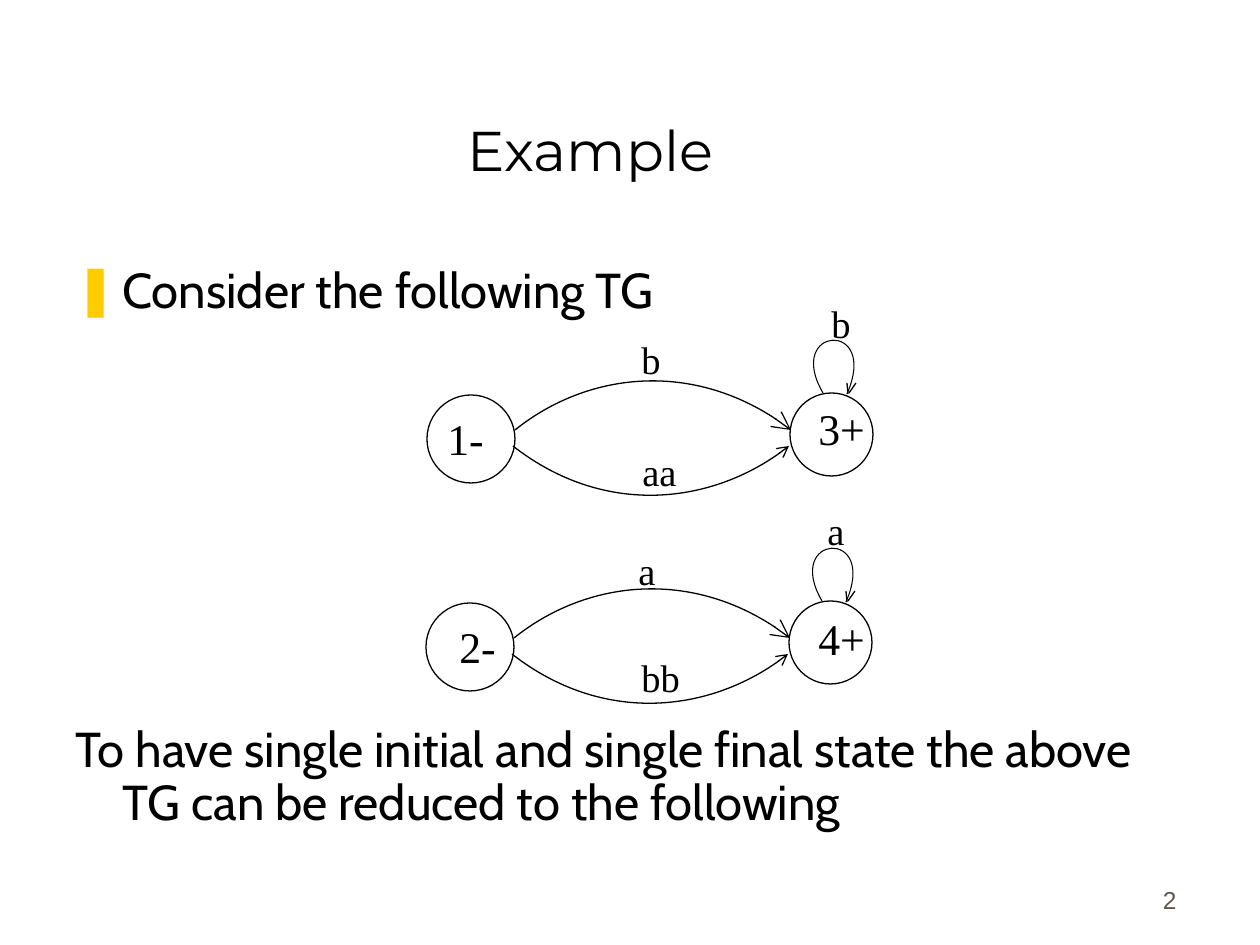
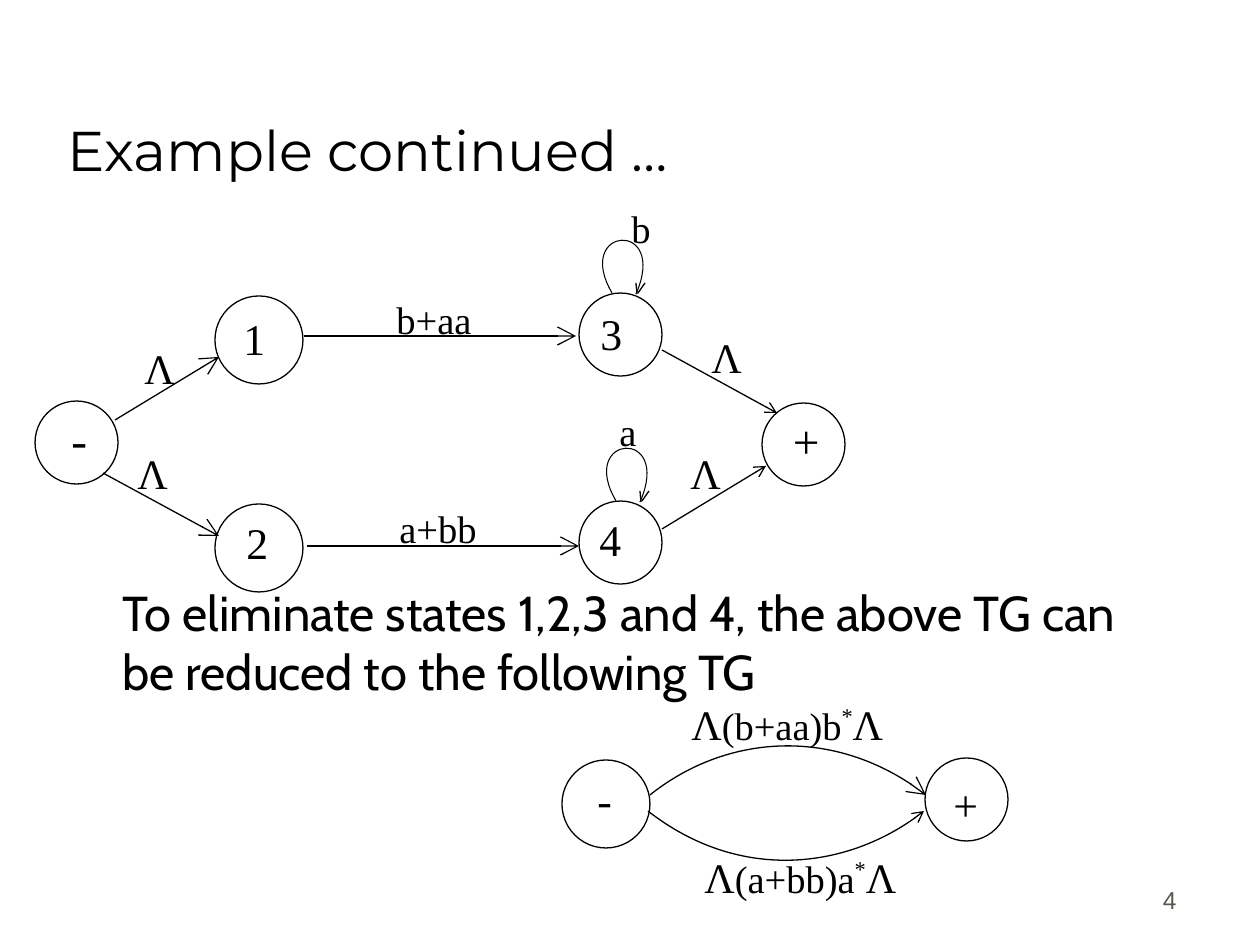
from dataclasses import dataclass

from lxml.etree import SubElement
from pptx import Presentation
from pptx.dml.color import RGBColor
from pptx.enum.shapes import MSO_CONNECTOR, MSO_SHAPE
from pptx.enum.text import MSO_ANCHOR, MSO_AUTO_SIZE, PP_ALIGN
from pptx.oxml.ns import qn
from pptx.util import Emu, Pt


@dataclass(frozen=True)
class Theme:
    """Colours, fonts and sizes shared by the slides."""
    ink: str = "000000"
    paper: str = "FFFFFF"
    accent: str = "FFCC00"
    muted: str = "5E574E"
    title_font: str = "Montserrat"
    body_font: str = "Cabin"
    graph_font: str = "Times New Roman"
    footer_font: str = "Arial"
    title_size: int = 32
    body_size: int = 28
    sign_size: int = 27
    state_size: int = 25
    empty_word_size: int = 24
    edge_size: int = 22
    footer_size: int = 14
    thin: float = 0.6
    line: float = 0.75


THEME = Theme()
EMU_PER_PX = 914400 / 126
SLIDE = (1260, 945)
TITLE_BOX = (55, 32, 1071, 157)
BODY_BOX = (63, 260, 1126, 575)
FOOTER_BOX = (927, 858, 262, 63)
HANGING = 47
LEFT_STATE, RIGHT_STATE = 88, 83
ARC = ((0, 0), (71, -57), (185, -71), (276, 0))
LOOP = ((0, 0), (-39, -67), (57, -74), (24, 1))
LOOP_BARBS = (((33, -10), (26, 0)), ((24, -10), (25, 1)))


def px(*lengths):
    """Turn pixel lengths into EMU."""
    return [Emu(round(length * EMU_PER_PX)) for length in lengths]


def write(para, text, font=THEME.graph_font, size=THEME.edge_size, color=THEME.ink, raised=0):
    """Add one formatted span to a paragraph."""
    span = para.add_run()
    span.text = text
    span.font.name = font
    span.font.size = Pt(size)
    span.font.color.rgb = RGBColor.from_string(color)
    if raised:
        span._r.get_or_add_rPr().set("baseline", str(raised * 1000))


def add_label(page, text, left, top, width=128, height=53, **style):
    """Place a graph label given as a string or as styled parts."""
    box = page.shapes.add_textbox(*px(left, top, width, height))
    box.text_frame.word_wrap = True
    parts = [(text, style)] if isinstance(text, str) else text
    for part, part_style in parts:
        write(box.text_frame.paragraphs[0], part, **part_style)
    return box


def set_line(shape, width=THEME.line, arrow=None, end="tailEnd"):
    """Draw a black outline with an optional open arrowhead."""
    shape.line.color.rgb = RGBColor.from_string(THEME.ink)
    shape.line.width = Pt(width)
    if arrow:
        outline = shape.line._get_or_add_ln()
        SubElement(outline, qn(f"a:{end}"), type="arrow", w=arrow, len=arrow)


def add_state(page, left, top, size):
    """Draw a state circle."""
    circle = page.shapes.add_shape(MSO_SHAPE.OVAL, *px(left, top, size, size))
    circle.shadow.inherit = False
    circle.fill.solid()
    circle.fill.fore_color.rgb = RGBColor.from_string(THEME.paper)
    set_line(circle)


def add_edge(page, start, finish, arrow=None):
    """Draw a straight edge."""
    edge = page.shapes.add_connector(MSO_CONNECTOR.STRAIGHT, *px(*start, *finish))
    set_line(edge, arrow=arrow)
    SubElement(edge._element.spPr, qn("a:effectLst"))


def add_curve(page, points, left, top, sign=1, **line):
    """Draw a cubic curve whose points are offsets from a start."""
    spots = [px(left + sign * x, top + sign * y) for x, y in points]
    builder = page.shapes.build_freeform(*spots[0])
    builder.add_line_segments(spots[1:], close=False)
    curve = builder.convert_to_shape()
    outline = next(curve._element.iter(qn("a:path")))
    steps = outline.findall(qn("a:lnTo"))
    cubic = SubElement(outline, qn("a:cubicBezTo"))
    for step in steps:
        cubic.append(step[0])
        outline.remove(step)
    curve.fill.background()
    curve.shadow.inherit = False
    set_line(curve, **line)


def add_loop(page, left, top):
    """Draw a self-loop with its arrow barbs."""
    add_curve(page, LOOP, left, top, width=THEME.thin)
    for barb in LOOP_BARBS:
        add_edge(page, *[(left + x, top + y) for x, y in barb])


def add_state_pair(page, left, top, labels, loop=False):
    """Draw two states joined by an upper and a lower arc."""
    add_state(page, left, top, LEFT_STATE)
    add_state(page, left + 363, top - 2, RIGHT_STATE)
    add_curve(page, ARC, left + 88, top + 35, arrow="lg")
    add_curve(page, ARC, left + 362, top + 51, sign=-1, arrow="med", end="headEnd")
    if loop:
        add_loop(page, left + 396, top - 2)
    for text, x, y, style in labels:
        add_label(page, text, left + x, top + y, **style)


def add_network(page, left, top):
    """Draw the graph with one initial and one final state."""
    row_gap = 208
    rows = (
        ("1", 196, 13, "3", 553, 8, "b+aa", 349, -3, "b", 584, -94, 577, 269, 43),
        ("2", 199, 9, "4", 552, 6, "a+bb", 352, -2, "a", 572, -99, 581, 272, 45),
    )
    for index, row in enumerate(rows):
        y = top + index * row_gap
        loop_x, edge_x, edge_y = row[12:]
        add_state(page, left + 180, y + 3, LEFT_STATE)
        add_state(page, left + 544, y, RIGHT_STATE)
        add_loop(page, left + loop_x, y)
        add_edge(page, (left + edge_x, y + edge_y), (left + edge_x + 272, y + edge_y), "lg")
        sizes = (THEME.state_size,) * 2 + (THEME.edge_size,) * 2
        widths = (128, 128, 168, 52)
        for place, (size, width) in enumerate(zip(sizes, widths)):
            text, label_x, label_y = row[place * 3:place * 3 + 3]
            add_label(page, text, left + label_x, y + label_y, width, size=size)

    add_state(page, left, top + 108, RIGHT_STATE)
    add_state(page, left + 727, top + 110, RIGHT_STATE)
    empty_edges = (
        (80, 127, 184, 64, "lg", 97, 43),
        (68, 180, 184, 243, "lg", 90, 148),
        (627, 57, 742, 120, "med", 664, 32),
        (627, 236, 731, 173, "med", 643, 148),
    )
    for x1, y1, x2, y2, arrow, label_x, label_y in empty_edges:
        add_edge(page, (left + x1, top + y1), (left + x2, top + y2), arrow)
        add_label(page, "Λ", left + label_x, top + label_y, 56, 63, size=THEME.empty_word_size)
    add_label(page, "-", left + 24, top + 111, size=THEME.sign_size)
    add_label(page, "+", left + 669, top + 135, size=THEME.sign_size).rotation = 180


def starred(group, letter):
    """Return the parts of an expression that ends in a starred letter."""
    empty_word = ("Λ", {"size": THEME.empty_word_size})
    return [empty_word, (f"({group}){letter}", {}), ("*", {"raised": 40}), empty_word]


def set_box(shape, box, anchor):
    """Move a text shape and fix its frame."""
    shape.left, shape.top, shape.width, shape.height = px(*box)
    frame = shape.text_frame
    frame.word_wrap = True
    frame.auto_size = MSO_AUTO_SIZE.NONE
    frame.vertical_anchor = anchor
    return frame


def add_page(deck, title, number, align):
    """Add a slide with its title and page number."""
    page = deck.slides.add_slide(deck.slide_layouts[1])
    para = set_box(page.shapes.title, TITLE_BOX, MSO_ANCHOR.BOTTOM).paragraphs[0]
    para.alignment = align
    write(para, title, font=THEME.title_font, size=THEME.title_size)
    footer = page.shapes.add_textbox(*px(*FOOTER_BOX))
    para = set_box(footer, FOOTER_BOX, MSO_ANCHOR.BOTTOM).paragraphs[0]
    para.alignment = PP_ALIGN.RIGHT
    write(para, number, font=THEME.footer_font, size=THEME.footer_size, color=THEME.muted)
    return page


def add_body_text(para, text, indent=0, bullet=None, before=0, spacing=1.0):
    """Fill a body paragraph with hanging indent and optional bullet."""
    para.space_before = Pt(before)
    para.line_spacing = spacing
    properties = para._p.get_or_add_pPr()
    margin, first = px(HANGING, indent)
    properties.set("marL", str(margin))
    properties.set("indent", str(first))
    if bullet:
        color = SubElement(properties, qn("a:buClr"))
        SubElement(color, qn("a:srgbClr"), val=THEME.accent)
        SubElement(properties, qn("a:buChar"), char=bullet)
    else:
        SubElement(properties, qn("a:buNone"))
    write(para, text, font=THEME.body_font, size=THEME.body_size)


def build_example(deck):
    """Build the slide with the two separate graphs."""
    page = add_page(deck, "Example", "2", PP_ALIGN.CENTER)
    frame = set_box(page.placeholders[1], BODY_BOX, MSO_ANCHOR.TOP)
    add_body_text(frame.paragraphs[0], "Consider the following TG",
                  indent=-HANGING, bullet="❚", spacing=0.9)
    add_body_text(frame.add_paragraph(),
                  "To have single initial and single final state the above TG "
                  "can be reduced to the following",
                  indent=-HANGING, before=232, spacing=0.9)
    state = {"size": THEME.state_size}
    edge = {"width": 76}
    add_state_pair(page, 427, 395, (
        ("1-", 8, 11, state), ("3+", 379, 1, state),
        ("b", 202, -65, edge), ("aa", 203, 47, edge), ("b", 392, -101, edge),
    ), loop=True)
    add_state_pair(page, 426, 603, (
        ("2-", 21, 11, state), ("4+", 380, 3, state),
        ("a", 200, -62, edge), ("bb", 203, 45, edge), ("a", 389, -102, edge),
    ), loop=True)


def build_continued(deck):
    """Build the slide with the joined graph and its reduction."""
    page = add_page(deck, "Example continued …", "4", PP_ALIGN.LEFT)
    frame = set_box(page.placeholders[1], BODY_BOX, MSO_ANCHOR.TOP)
    frame.margin_top = px(323)[0]
    add_body_text(frame.paragraphs[0],
                  "To eliminate states 1,2,3 and 4, the above TG can be "
                  "reduced to the following TG")
    add_network(page, 35, 293)
    state = {"size": THEME.state_size}
    add_state_pair(page, 562, 760, (
        ("-", 23, 7, state), ("+", 379, 12, state),
        (starred("b+aa", "b"), 117, -68, {"width": 278, "height": 62}),
        (starred("a+bb", "a"), 130, 85, {"width": 411, "height": 63}),
    ))


def main():
    """Build and save the deck."""
    deck = Presentation()
    deck.slide_width, deck.slide_height = px(*SLIDE)
    build_example(deck)
    build_continued(deck)
    deck.save("out.pptx")


if __name__ == "__main__":
    main()
